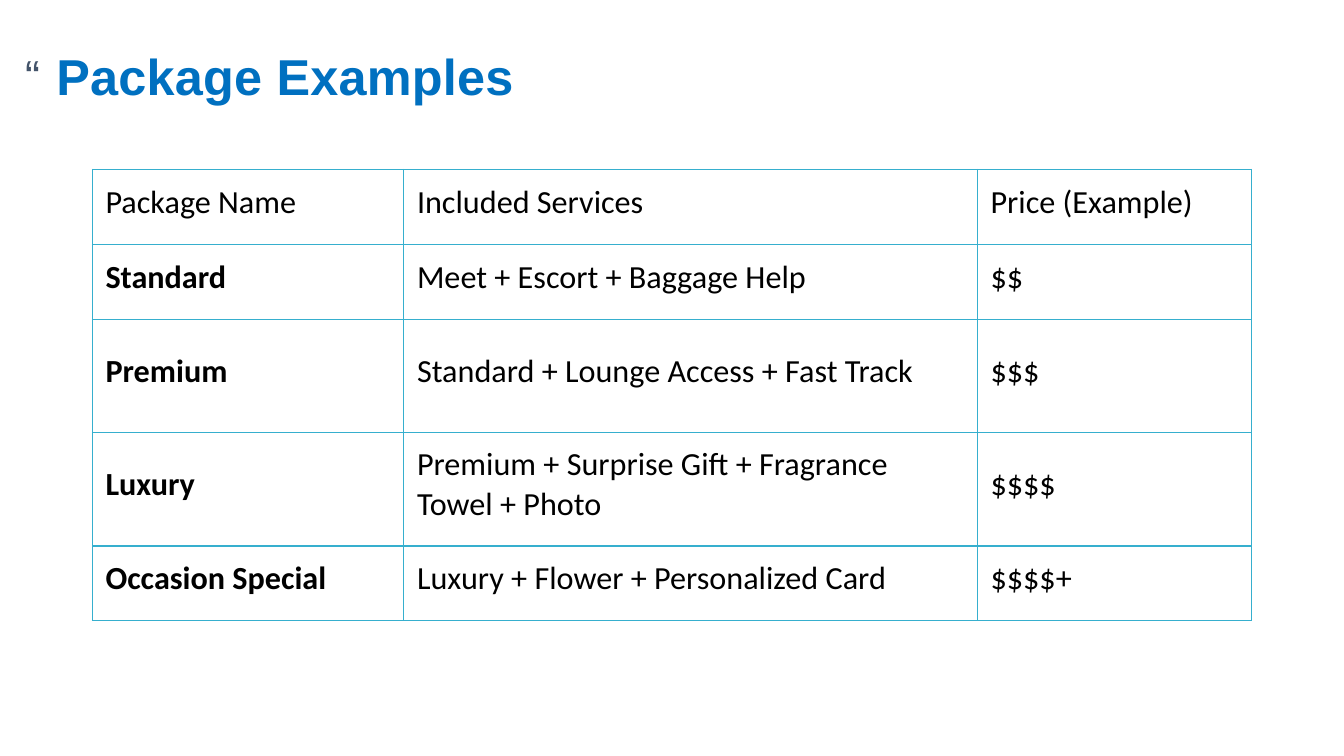
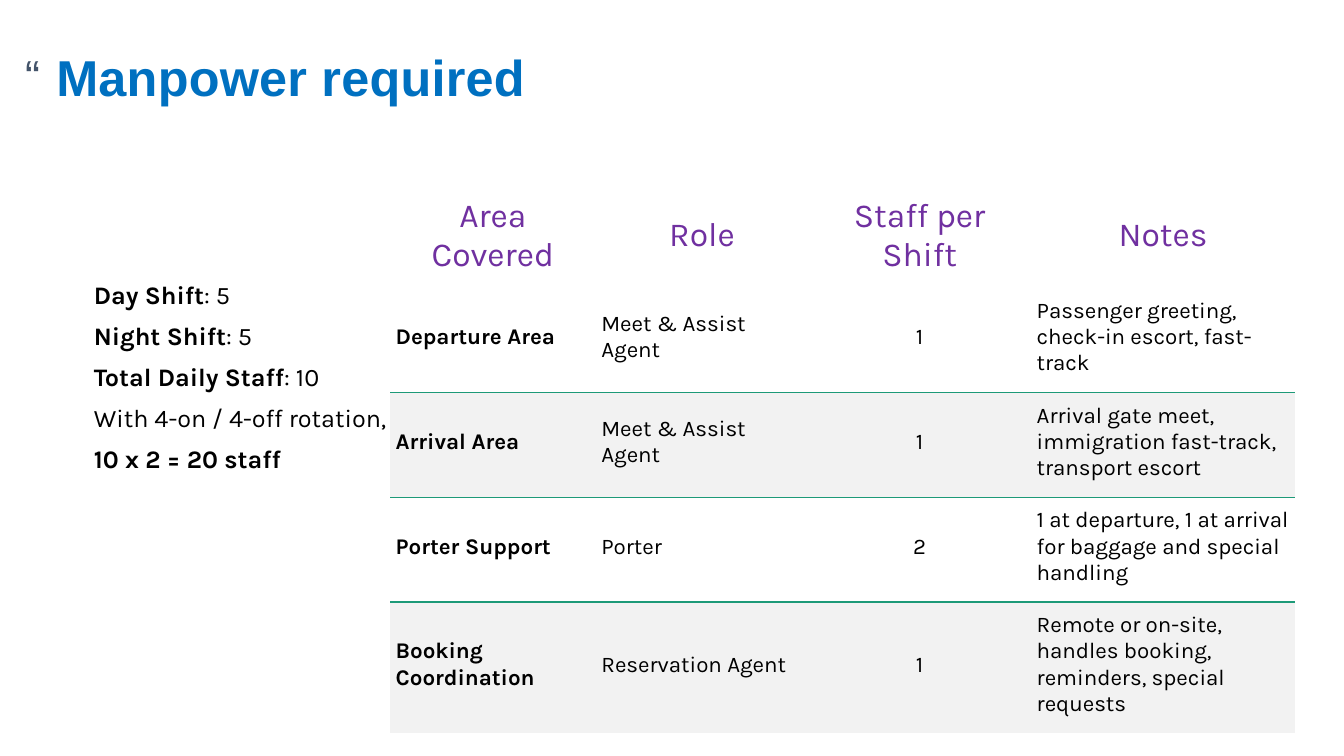
import pptx
import pptx.util
import pptx.dml.color
import pptx.enum.text
import pptx.oxml
import pptx.oxml.ns

Pt = pptx.util.Pt
RGB = pptx.dml.color.RGBColor.from_string
ALIGN = pptx.enum.text.PP_ALIGN
ANCHOR = pptx.enum.text.MSO_ANCHOR


class Theme:
    title, quote, text, header = "0070C0", "44546A", "000000", "7030A0"
    grid, rule, band = "36AFCE", "1D9A78", "F2F2F2"
    title_font, package_font, staff_font = "Arial", "Calibri", "Karla"
    title_size, quote_size, body_size = 36, 32, 18
    package_size, staff_header_size, staff_size = 23, 24, 16
    no_table_style = "{2D5ABB26-0587-4C30-8999-92F81FD0307C}"


def add_run(p, text, font, size, color, bold=False):
    r = p.add_run()
    r.text = text
    r.font.name, r.font.size, r.font.bold = font, Pt(size), bold
    r.font.color.rgb = RGB(color)
    return r


def add_table(s, left, top, cols, rows, data, margins):
    """Add an unstyled table; return its cells with row, column and text."""
    frame = s.shapes.add_table(len(rows), len(cols), Pt(left), Pt(top), Pt(sum(cols)), Pt(sum(rows)))
    table = frame.table
    table.first_row = table.horz_banding = False
    table._tbl.tblPr.find(pptx.oxml.ns.qn("a:tableStyleId")).text = Theme.no_table_style
    for column, width in zip(table.columns, cols):
        column.width = Pt(width)
    for row, height in zip(table.rows, rows):
        row.height = Pt(height)
    cells = []
    for i, texts in enumerate(data):
        for j, text in enumerate(texts):
            cell = table.cell(i, j)
            cell.vertical_anchor = ANCHOR.MIDDLE
            cell.margin_left, cell.margin_top, cell.margin_right, cell.margin_bottom = map(Pt, margins)
            cells.append((cell, i, j, text))
    return cells


prs = pptx.Presentation()
prs.slide_width, prs.slide_height = Pt(960), Pt(540)

# Slides with their shared title and quote mark: text, layout, box, anchor
titles = [
    ("Package Examples", 5, (33, 31, 828, 50.4), ANCHOR.MIDDLE),
    ("Manpower required", 1, (33, 33, 373, 47.5), ANCHOR.BOTTOM),
]
for text, layout, box, anchor in titles:
    s = prs.slides.add_slide(prs.slide_layouts[layout])
    sp = s.shapes.title
    sp.left, sp.top, sp.width, sp.height = map(Pt, box)
    tf = sp.text_frame
    tf.auto_size = pptx.enum.text.MSO_AUTO_SIZE.NONE
    tf.vertical_anchor = anchor
    p = tf.paragraphs[0]
    p.alignment, p.line_spacing = ALIGN.LEFT, 0.9
    r = add_run(p, text, Theme.title_font, Theme.title_size, Theme.title, True)
    r._r.get_or_add_rPr().set("spc", "20")

    sp = s.shapes.add_textbox(Pt(18), Pt(40.3), Pt(19.4), Pt(53.3))
    tf = sp.text_frame
    tf.word_wrap = True
    tf.margin_left = tf.margin_top = tf.margin_right = tf.margin_bottom = 0
    p = tf.paragraphs[0]
    p.line_spacing = Pt(32)
    add_run(p, "“", Theme.title_font, Theme.quote_size, Theme.quote)

package_slide, staff_slide = prs.slides

# Package table
packages = [
    ("Package Name", "Included Services", "Price (Example)"),
    ("Standard", "Meet + Escort + Baggage Help", "$$"),
    ("Premium", "Standard + Lounge Access + Fast Track", "$$$"),
    ("Luxury", "Premium + Surprise Gift + Fragrance Towel + Photo", "$$$$"),
    ("Occasion Special", "Luxury + Flower + Personalized Card", "$$$$+"),
]
package_cells = add_table(package_slide, 66, 121, (222.5, 409.7, 195.8),
                          (53.5, 53.5, 81, 81, 53.5), packages, (9.4, 7.2, 7.2, 13.7))
for cell, i, j, text in package_cells:
    add_run(cell.text_frame.paragraphs[0], text, Theme.package_font, Theme.package_size,
            Theme.text, i > 0 and j == 0)

# Staff summary
sp = staff_slide.placeholders[1]
sp.left, sp.top, sp.width, sp.height = Pt(59.8), Pt(198), Pt(231), Pt(158.4)
tf = sp.text_frame
tf.auto_size = pptx.enum.text.MSO_AUTO_SIZE.NONE
summary = [
    [("Day Shift", True), (": 5", False)],
    [("Night Shift", True), (": 5", False)],
    [("Total Daily Staff", True), (": 10", False)],
    [("With 4-on / 4-off rotation,", False)],
    [("10 x 2 = 20 staff", True)],
]
for i, runs in enumerate(summary):
    p = tf.add_paragraph() if i else tf.paragraphs[0]
    pPr = p._p.get_or_add_pPr()
    pPr.set("marL", "0")
    pPr.set("indent", "0")
    pptx.oxml.ns.qn("a:buNone")
    pPr.append(pptx.oxml.parse_xml(f"<a:buNone {pptx.oxml.ns.nsdecls('a')}/>"))
    p.line_spacing, p.space_before = 0.9, Pt(10 if i else 0)
    for text, bold in runs:
        add_run(p, text, Theme.staff_font, Theme.body_size, Theme.text, bold)

# Staff table
staff = [
    ("Area Covered", "Role", "Staff per Shift", "Notes"),
    ("Departure Area", "Meet & Assist Agent", "1", "Passenger greeting, check-in escort, fast-track"),
    ("Arrival Area", "Meet & Assist Agent", "1",
     "Arrival gate meet, immigration fast-track, transport escort"),
    ("Porter Support", "Porter", "2", "1 at departure, 1 at arrival for baggage and special handling"),
    ("Booking Coordination", "Reservation Agent", "1",
     "Remote or on-site, handles booking, reminders, special requests"),
]
staff_cells = add_table(staff_slide, 278.6, 135.4, (146.9, 151.9, 159.1, 188.6),
                        (68.4, 74.9, 74.9, 74.9, 93.6), staff, (4.1, 4.1, 4.1, 8.2))
for cell, i, j, text in staff_cells:
    p = cell.text_frame.paragraphs[0]
    p.alignment = ALIGN.CENTER if i == 0 or j == 2 else ALIGN.LEFT
    size, color = (Theme.staff_size, Theme.text) if i else (Theme.staff_header_size, Theme.header)
    add_run(p, text, Theme.staff_font, size, color, i > 0 and j == 0)

# Borders and fills: a full grid for packages, a rule above each banded staff row
looks = [(cell, "LRTB", Theme.grid, None) for cell, i, j, text in package_cells]
for cell, i, j, text in staff_cells:
    banded = i in (2, 4)
    sides = "T" if banded else "B" if i in (1, 3) else ""
    looks.append((cell, sides, Theme.rule, Theme.band if banded else None))
for cell, sides, line, fill in looks:
    tcPr = cell._tc.get_or_add_tcPr()
    for side in sides:
        tcPr.append(pptx.oxml.parse_xml(
            f'<a:ln{side} {pptx.oxml.ns.nsdecls("a")} w="{Pt(1)}"><a:solidFill>'
            f'<a:srgbClr val="{line}"/></a:solidFill></a:ln{side}>'))
    if fill:
        cell.fill.solid()
        cell.fill.fore_color.rgb = RGB(fill)
    else:
        cell.fill.background()

prs.save("out.pptx")
